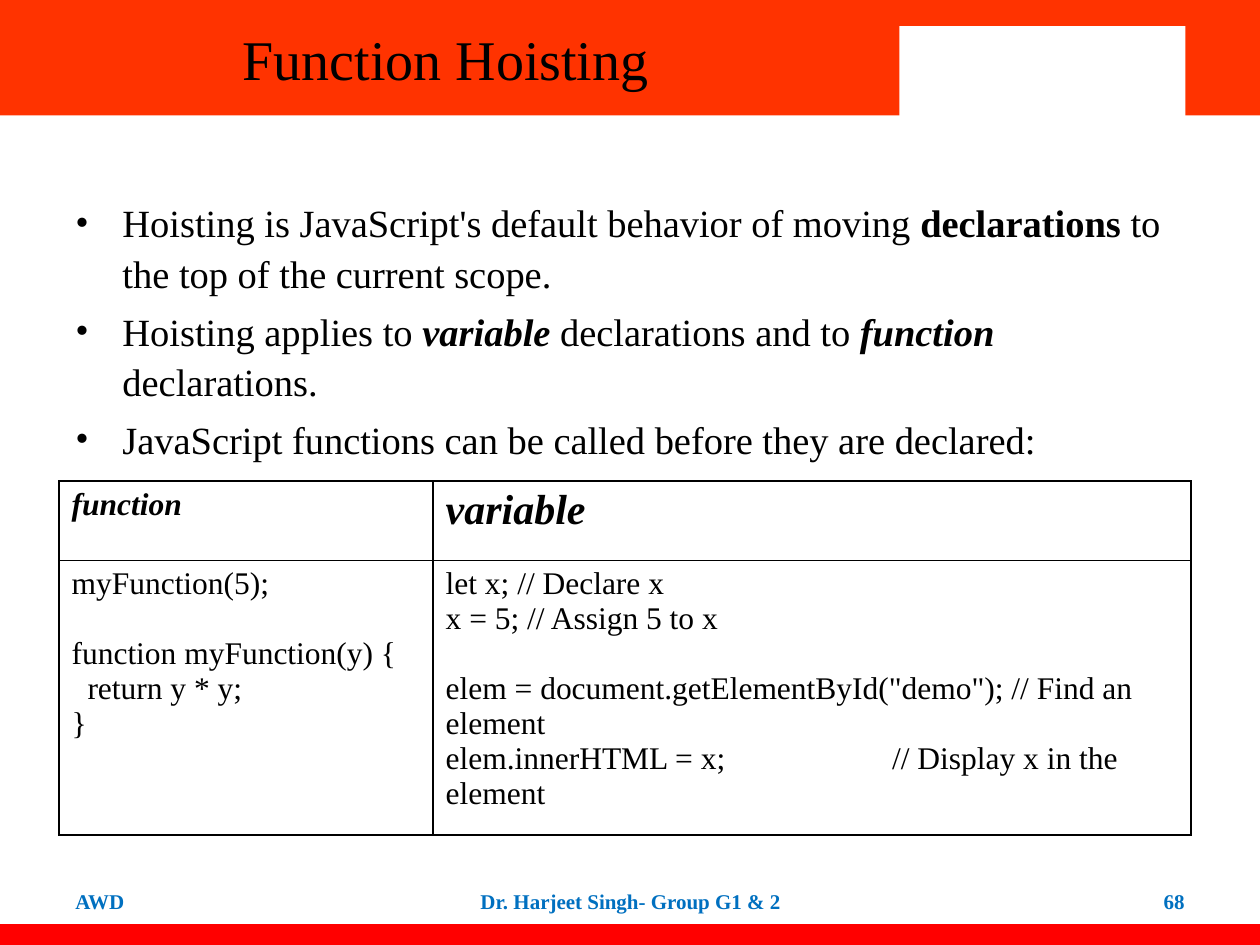
import pptx
import pptx.dml.color
import pptx.enum.shapes
import pptx.enum.text
import pptx.oxml.ns
import pptx.util
from lxml import etree

Cm = pptx.util.Cm
Pt = pptx.util.Pt
ALIGN = pptx.enum.text.PP_ALIGN
ANCHOR = pptx.enum.text.MSO_ANCHOR
WIDTH, HEIGHT = 25.4, 19.05


def color(value):
    """Turn a hex string into a colour."""
    return pptx.dml.color.RGBColor.from_string(value)


def add_xml(parent, tag, **attributes):
    """Append a drawing element to a parent element."""
    return etree.SubElement(parent, pptx.oxml.ns.qn(tag), attributes)


def add_text(paragraph, text, size=18, fill="000000", bold=False, italic=False):
    """Append a formatted run to a paragraph."""
    run = paragraph.add_run()
    run.text = text
    font = run.font
    font.name = "Times New Roman"
    font.size = Pt(size)
    font.bold = bold
    font.italic = italic
    font.color.rgb = color(fill)


def next_paragraph(frame, index):
    """Return the first paragraph of a frame, or a new one after it."""
    return frame.add_paragraph() if index else frame.paragraphs[0]


def add_box(slide, left, top, width, height, anchor=ANCHOR.TOP):
    """Add a wrapping text box and return its text frame."""
    shape = slide.shapes.add_textbox(Cm(left), Cm(top), Cm(width), Cm(height))
    frame = shape.text_frame
    frame.word_wrap = True
    frame.vertical_anchor = anchor
    return frame


def add_bar(slide, left, top, width, height, fill):
    """Add a plain filled rectangle."""
    shape = slide.shapes.add_shape(
        pptx.enum.shapes.MSO_SHAPE.RECTANGLE, Cm(left), Cm(top), Cm(width), Cm(height))
    shape.shadow.inherit = False
    shape.fill.solid()
    shape.fill.fore_color.rgb = color(fill)
    shape.line.fill.background()


def add_header(slide, left, top, width, height, title):
    """Draw the title band with its white panel."""
    add_bar(slide, left, top, width, height, "FF3300")
    add_bar(slide, left + 18.13, top + 0.53, 5.77, height - 0.43, "FFFFFF")
    frame = add_box(slide, left, top, 17.98, height, ANCHOR.MIDDLE)
    frame.paragraphs[0].alignment = ALIGN.CENTER
    add_text(frame.paragraphs[0], title, size=32)


def add_bullets(slide, left, top, width, height, bullets):
    """Write the bulleted paragraphs, each a list of text and format pairs."""
    frame = add_box(slide, left, top, width, height)
    for index, parts in enumerate(bullets):
        paragraph = next_paragraph(frame, index)
        paragraph.line_spacing = 1.09
        paragraph.space_before = Pt(4.4)
        for text, style in parts:
            add_text(paragraph, text, size=22, **style)
        properties = paragraph._p.get_or_add_pPr()
        properties.set("marL", str(Cm(0.95)))
        properties.set("indent", str(Cm(-0.95)))
        add_xml(properties, "a:buFont", typeface="Times New Roman")
        add_xml(properties, "a:buChar", char="•")


def add_borders(cell):
    """Give a cell thin black borders and a clear fill."""
    properties = cell._tc.get_or_add_tcPr()
    for side in ("a:lnL", "a:lnR", "a:lnT", "a:lnB"):
        line = add_xml(properties, side, w=str(Pt(1)))
        add_xml(add_xml(line, "a:solidFill"), "a:srgbClr", val="000000")
    cell.fill.background()


def fill_code(frame, lines):
    """Write code lines given as text, indent in cm and space before in points."""
    for index, (text, indent, space) in enumerate(lines):
        paragraph = next_paragraph(frame, index)
        paragraph.space_before = Pt(space)
        add_text(paragraph, text)
        properties = paragraph._p.get_or_add_pPr()
        properties.set("marL", str(Cm(indent)))
        if "\t" in text:
            tabs = add_xml(properties, "a:tabLst")
            add_xml(tabs, "a:tab", pos=str(Cm(9)), algn="l")


def add_code_table(slide, left, top, widths, heights, headings, listings):
    """Draw the table of headings over code listings."""
    table = slide.shapes.add_table(
        len(heights), len(widths), Cm(left), Cm(top),
        Cm(sum(widths)), Cm(sum(heights))).table
    table.first_row = False
    table.horz_banding = False
    for row, height in zip(table.rows, heights):
        row.height = Cm(height)
    for index, width in enumerate(widths):
        table.columns[index].width = Cm(width)
        text, size = headings[index]
        heading = table.cell(0, index).text_frame.paragraphs[0]
        add_text(heading, text, size=size, bold=True, italic=True)
        fill_code(table.cell(1, index).text_frame, listings[index])
    for cell in table.iter_cells():
        add_borders(cell)


def add_footer(slide, left, top, width, height, texts):
    """Write the left, centre and right footer texts above the red bar."""
    places = ((0, 5.92, ALIGN.LEFT), (7.42, 8.05, ALIGN.CENTER),
              (width - 5.92, 5.92, ALIGN.RIGHT))
    for text, (offset, box_width, alignment) in zip(texts, places):
        frame = add_box(slide, left + offset, top, box_width, height, ANCHOR.MIDDLE)
        frame.paragraphs[0].alignment = alignment
        add_text(frame.paragraphs[0], text, size=12, fill="0070C0", bold=True)


def main():
    """Build and save the presentation."""
    presentation = pptx.Presentation()
    presentation.slide_width = Cm(WIDTH)
    presentation.slide_height = Cm(HEIGHT)
    slide = presentation.slides.add_slide(presentation.slide_layouts[6])
    strong = {"bold": True}
    term = {"bold": True, "italic": True}
    add_header(slide, 0, 0, WIDTH, 2.33, "Function Hoisting")
    add_bar(slide, 0, 18.63, WIDTH, HEIGHT - 18.63, "FF0000")
    add_bullets(slide, 1.27, 3.81, 22.86, 12.57, [
        [("Hoisting is JavaScript's default behavior of moving ", {}),
         ("declarations", strong), (" to the top of the current scope.", {})],
        [("Hoisting applies to ", {}), ("variable", term),
         (" declarations and to ", {}), ("function", term), (" declarations.", {})],
        [("JavaScript functions can be called before they are declared:", {})],
    ])
    add_footer(slide, 1.27, 17.65, 22.86, 1.02,
               ["AWD", "Dr. Harjeet Singh- Group G1 & 2", "68"])
    blank_line = 20
    function_code = [
        ("myFunction(5);", 0, 0),
        ("function myFunction(y) {", 0, blank_line),
        ("return y * y;", 0.32, 0),
        ("}", 0, 0),
    ]
    variable_code = [
        ("let x; // Declare x", 0, 0),
        ("x = 5; // Assign 5 to x", 0, 0),
        ('elem = document.getElementById("demo"); // Find an element', 0, blank_line),
        ("elem.innerHTML = x;\t// Display x in the element", 0, 0),
    ]
    add_code_table(slide, 1.19, 9.7, [7.54, 15.28], [1.6, 5.18],
                   [("function", 18), ("variable", 24)],
                   [function_code, variable_code])
    presentation.save("out.pptx")


main()
